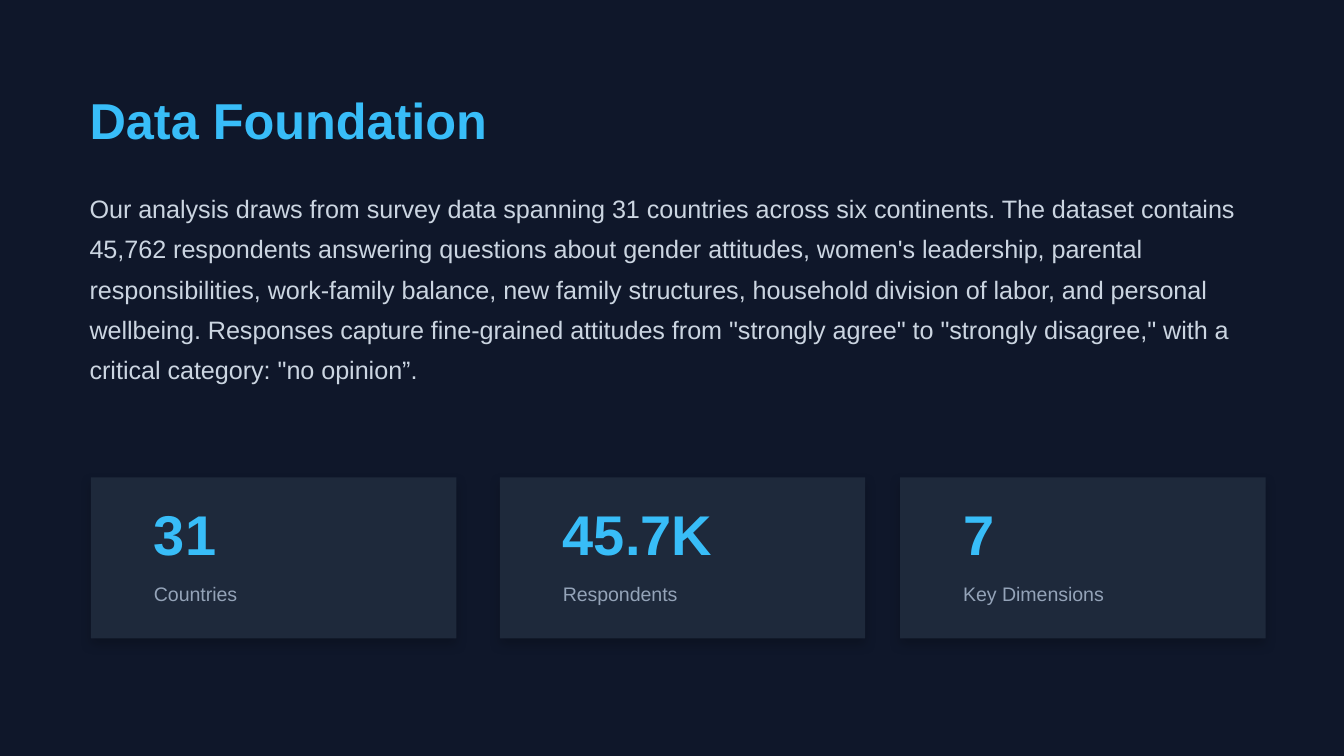
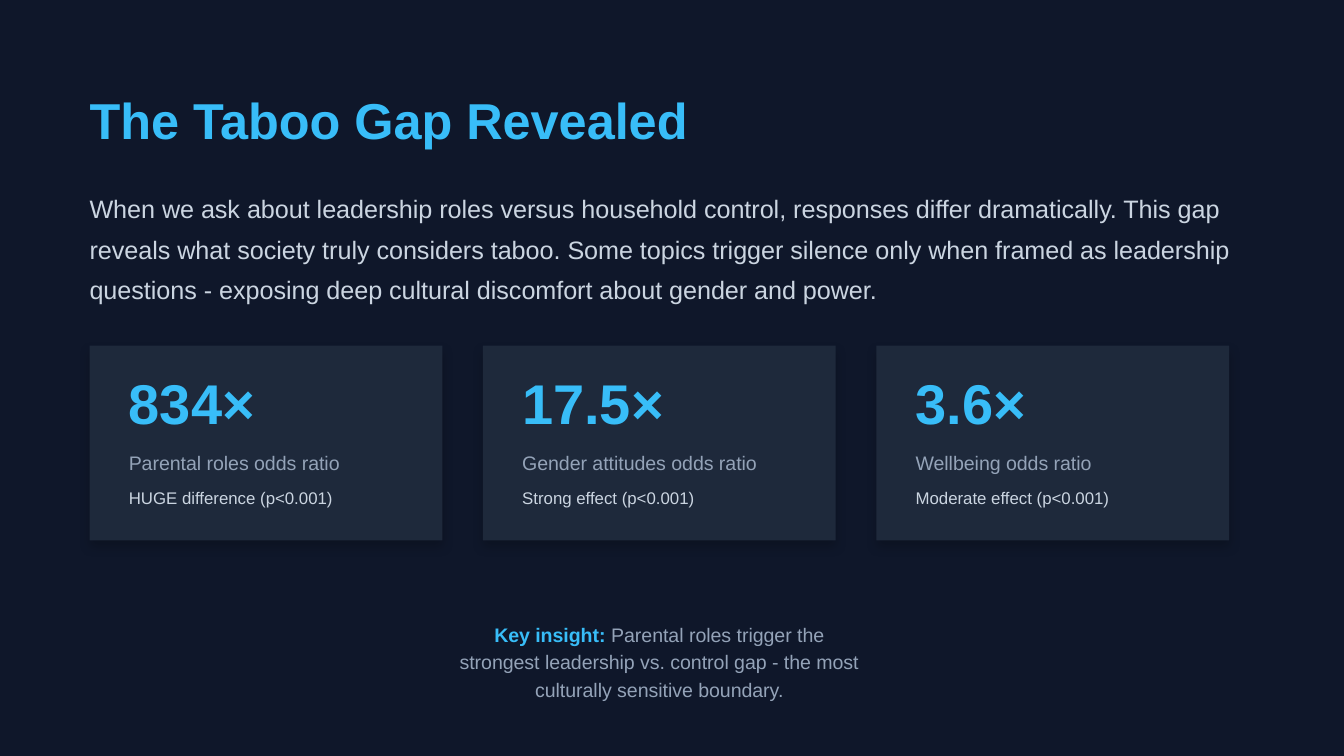
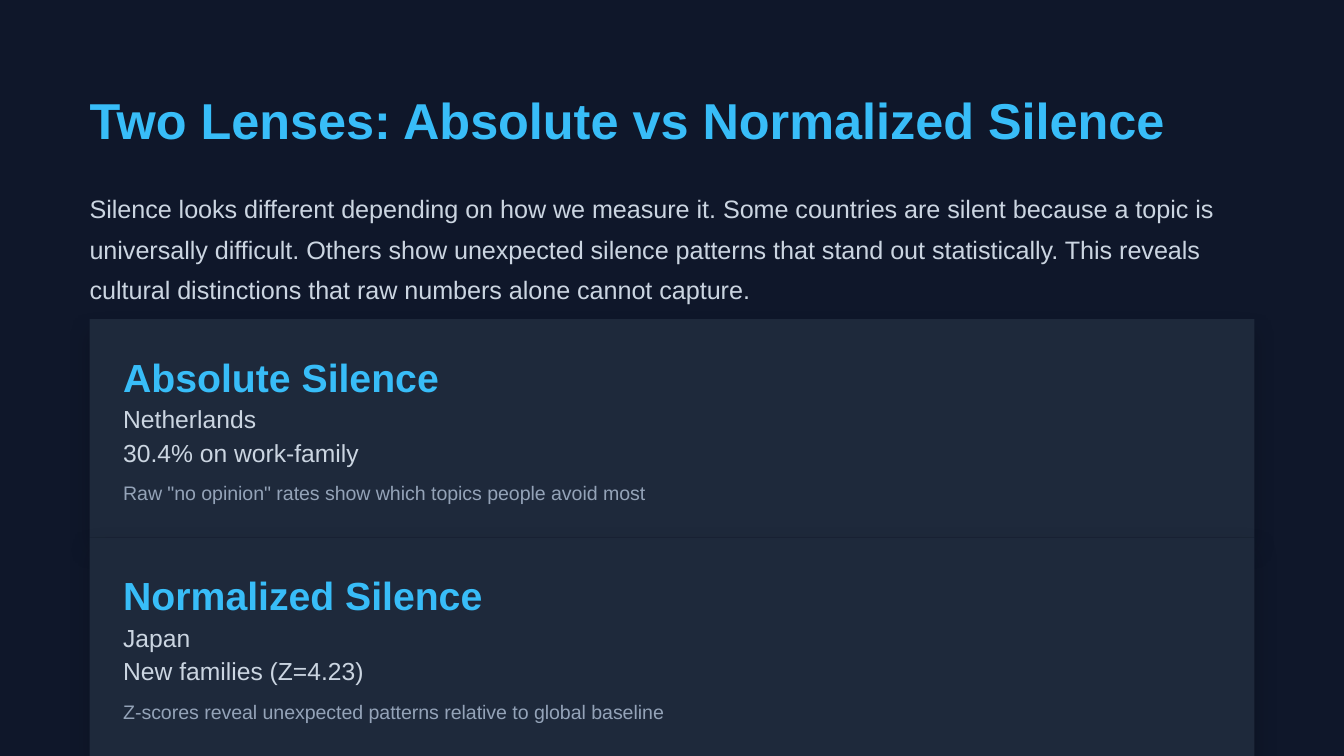
from lxml import etree
from pptx import Presentation
from pptx.dml.color import RGBColor
from pptx.enum.shapes import MSO_SHAPE as SHAPE
from pptx.enum.text import PP_ALIGN as ALIGN
from pptx.oxml.ns import qn
from pptx.util import Pt

PX = 9525
NAVY = RGBColor(0x0F, 0x17, 0x2A)
SLATE = RGBColor(0x1E, 0x29, 0x3B)
SKY = RGBColor(0x38, 0xBD, 0xF8)
PALE = RGBColor(0xCB, 0xD5, 0xE1)
GREY = RGBColor(0x94, 0xA3, 0xB8)
FONT = "Arial"
MARGIN = 64

TITLE = dict(size=27, leading=32.4, color=SKY, bold=True)
INTRO = dict(size=13.5, leading=21.6, color=PALE)
FIGURE = dict(size=30, leading=30, color=SKY, bold=True)
LABEL = dict(size=10.5, leading=14.7, color=GREY)
EFFECT = dict(size=9, leading=12.6, color=PALE)
LENS = dict(size=21, leading=25.2, color=SKY, bold=True)
FINDING = dict(size=13.2, leading=18.5, color=PALE)


def add_text(shapes, box, text, size, leading, color, bold=False, align=None, lead=""):
    frame = shapes.add_textbox(*(n * PX for n in box)).text_frame
    frame.word_wrap = True
    frame.margin_left = frame.margin_right = frame.margin_top = frame.margin_bottom = 0
    paragraph = frame.paragraphs[0]
    paragraph.line_spacing = Pt(leading)
    paragraph.alignment = align
    for part, part_color, part_bold in ((lead, SKY, True), (text, color, bold)):
        if part:
            run = paragraph.add_run()
            run.text = part
            run.font.name = FONT
            run.font.size = Pt(size)
            run.font.bold = part_bold
            run.font.color.rgb = part_color


def add_card(shapes, box, blur, distance):
    card = shapes.add_shape(SHAPE.RECTANGLE, *(n * PX for n in box))
    card.fill.solid()
    card.fill.fore_color.rgb = SLATE
    card.line.fill.background()
    card.shadow.inherit = False
    effects = card._element.spPr.find(qn("a:effectLst"))
    shadow = etree.SubElement(effects, qn("a:outerShdw"), blurRad=str(Pt(blur)),
                              dist=str(Pt(distance)), dir="5400000",
                              algn="ctr", rotWithShape="0")
    black = etree.SubElement(shadow, qn("a:srgbClr"), val="000000")
    etree.SubElement(black, qn("a:alpha"), val="20000")


deck = Presentation()
deck.slide_width = 960 * PX
deck.slide_height = 540 * PX

slides = []
for title, intro, intro_height in [
    ("Data Foundation",
     "Our analysis draws from survey data spanning 31 countries across six continents. "
     "The dataset contains 45,762 respondents answering questions about gender attitudes, "
     "women's leadership, parental responsibilities, work-family balance, new family "
     "structures, household division of labor, and personal wellbeing. Responses capture "
     "fine-grained attitudes from \"strongly agree\" to \"strongly disagree,\" with a "
     "critical category: \"no opinion”.", 140),
    ("The Taboo Gap Revealed",
     "When we ask about leadership roles versus household control, responses differ "
     "dramatically. This gap reveals what society truly considers taboo. Some topics "
     "trigger silence only when framed as leadership questions - exposing deep cultural "
     "discomfort about gender and power.", 84),
    ("Two Lenses: Absolute vs Normalized Silence",
     "Silence looks different depending on how we measure it. Some countries are silent "
     "because a topic is universally difficult. Others show unexpected silence patterns "
     "that stand out statistically. This reveals cultural distinctions that raw numbers "
     "alone cannot capture.", 84),
]:
    slide = deck.slides.add_slide(deck.slide_layouts[6])
    slide.background.fill.solid()
    slide.background.fill.fore_color.rgb = NAVY
    add_text(slide.shapes, (MARGIN, 64, 849, 43), title, **TITLE)
    add_text(slide.shapes, (MARGIN, 131, 832, intro_height), intro, **INTRO)
    slides.append(slide)
foundation, gap, lenses = slides

for left, count, label in [(65, "31", "Countries"), (357, "45.7K", "Respondents"),
                           (643, "7", "Key Dimensions")]:
    stat = foundation.shapes.add_group_shape().shapes
    add_card(stat, (left, 341, 261, 115), 6, 3)
    add_text(stat, (left + 45, 365, 250, 40), count, **FIGURE)
    add_text(stat, (left + 45, 413, 250, 19), label, **LABEL)

for column, (ratio, label, effect) in enumerate([
    ("834×", "Parental roles odds ratio", "HUGE difference (p<0.001)"),
    ("17.5×", "Gender attitudes odds ratio", "Strong effect (p<0.001)"),
    ("3.6×", "Wellbeing odds ratio", "Moderate effect (p<0.001)"),
]):
    left = MARGIN + column * 281
    add_card(gap.shapes, (left, 247, 252, 139), 6, 3)
    add_text(gap.shapes, (left + 28, 271, 242, 40), ratio, **FIGURE)
    add_text(gap.shapes, (left + 28, 319, 242, 19), label, **LABEL)
    add_text(gap.shapes, (left + 28, 346, 242, 16), effect, **EFFECT)

add_text(gap.shapes, (324, 442, 294, 19),
         " Parental roles trigger the strongest leadership vs. control gap - "
         "the most culturally sensitive boundary.",
         lead="Key insight:", align=ALIGN.CENTER, **LABEL)

for row, (lens, country, finding, meaning) in enumerate([
    ("Absolute Silence", "Netherlands", "30.4% on work-family",
     "Raw \"no opinion\" rates show which topics people avoid most"),
    ("Normalized Silence", "Japan", "New families (Z=4.23)",
     "Z-scores reveal unexpected patterns relative to global baseline"),
]):
    top = 228 + row * 156
    add_card(lenses.shapes, (MARGIN, top, 832, 156), 12, 6)
    for offset, height, text, style in [(24, 33, lens, LENS), (57, 24, country, FINDING),
                                        (81, 24, finding, FINDING),
                                        (113, 19, meaning, LABEL)]:
        add_text(lenses.shapes, (MARGIN + 24, top + offset, 800, height), text, **style)

deck.save("out.pptx")
